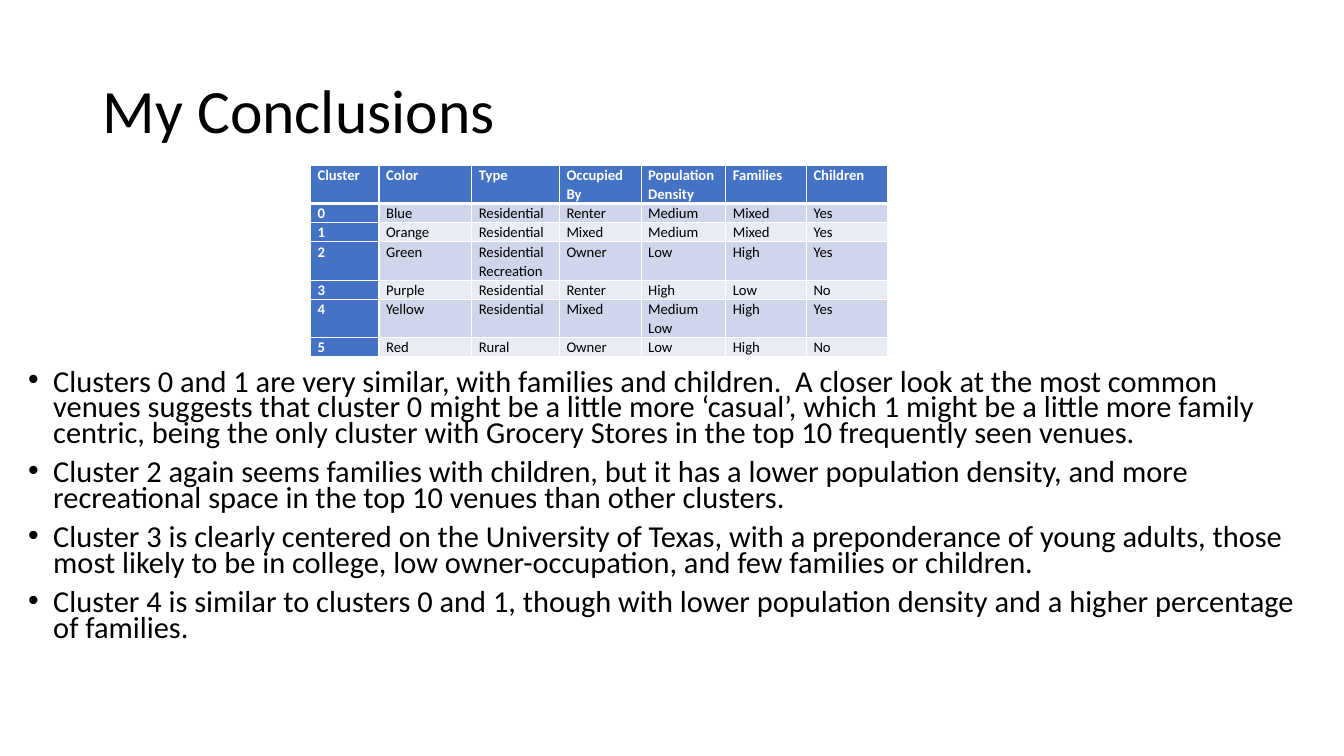
from lxml.etree import SubElement
from pptx import Presentation
from pptx.dml.color import RGBColor
from pptx.enum.text import MSO_ANCHOR, MSO_AUTO_SIZE, PP_ALIGN
from pptx.oxml.ns import qn
from pptx.util import Inches, Pt

BLACK, WHITE, BLUE = "000000", "FFFFFF", "4472C4"
BANDS = ["CFD5EA", "E9EBF5"]


def color(hex_code):
    return RGBColor.from_string(hex_code)


def add_text(paragraph, text, size, hex_code, line_spacing, bold=False):
    paragraph.alignment = PP_ALIGN.LEFT
    paragraph.line_spacing = line_spacing
    for index, line in enumerate(text.split("\n")):
        if index:
            paragraph.add_line_break()
        run = paragraph.add_run()
        run.text = line
        run.font.name = "Calibri"
        run.font.size = Pt(size)
        run.font.bold = bold
        run.font.color.rgb = color(hex_code)


presentation = Presentation()
presentation.slide_width = Inches(13.33)
presentation.slide_height = Inches(7.5)
slide = presentation.slides.add_slide(presentation.slide_layouts[5])

# Title
title = slide.shapes.title
title.left, title.top = Inches(0.92), Inches(0.4)
title.width, title.height = Inches(11.5), Inches(1.45)
title.text_frame.vertical_anchor = MSO_ANCHOR.MIDDLE
title.text_frame.auto_size = MSO_AUTO_SIZE.NONE
add_text(title.text_frame.paragraphs[0], "My Conclusions", 44, BLACK, 0.9)

# Cluster table: each cell is a list of paragraphs split at "|"
cluster_rows = [
    ["Cluster", "Color", "Type", "Occupied By", "Population|Density", "Families", "Children"],
    ["0", "Blue", "Residential", "Renter", "Medium", "Mixed", "Yes"],
    ["1", "Orange", "Residential", "Mixed", "Medium", "Mixed", "Yes"],
    ["2", "Green", "Residential\nRecreation", "Owner", "Low", "High", "Yes"],
    ["3", "Purple", "Residential", "Renter", "High", "Low", "No"],
    ["4", "Yellow", "Residential", "Mixed", "Medium\nLow", "High", "Yes"],
    ["5", "Red", "Rural", "Owner", "Low", "High", "No"],
]
column_widths = [0.68, 0.92, 0.87, 0.81, 0.84, 0.8, 0.8]
row_lines = [2, 1, 1, 2, 1, 2, 1]
line_height = 0.19

table = slide.shapes.add_table(
    len(cluster_rows), len(column_widths), Inches(3.08), Inches(1.64),
    Inches(sum(column_widths)), Inches(line_height * sum(row_lines))).table
for column, width in zip(table.columns, column_widths):
    column.width = Inches(width)
for row, lines in zip(table.rows, row_lines):
    row.height = Inches(line_height * lines)

for row_index, values in enumerate(cluster_rows):
    for column_index, value in enumerate(values):
        cell = table.cell(row_index, column_index)
        cell.margin_left = cell.margin_right = Inches(0.07)
        cell.margin_top = cell.margin_bottom = 0
        is_header = row_index == 0 or column_index == 0

        # White borders, thicker under the header row
        for side in ("L", "R", "T", "B"):
            under_header = (row_index, side) in ((0, "B"), (1, "T"))
            border = SubElement(cell._tc.get_or_add_tcPr(), qn(f"a:ln{side}"),
                                w=str(Pt(3 if under_header else 1)))
            SubElement(SubElement(border, qn("a:solidFill")), qn("a:srgbClr"), val=WHITE)

        cell.fill.solid()
        cell.fill.fore_color.rgb = color(BLUE if is_header else BANDS[(row_index - 1) % 2])
        for index, text in enumerate(value.split("|")):
            frame = cell.text_frame
            paragraph = frame.add_paragraph() if index else frame.paragraphs[0]
            add_text(paragraph, text, 10.5, WHITE if is_header else BLACK, 1.07, is_header)

# Bulleted conclusions
conclusions = [
    "Clusters 0 and 1 are very similar, with families and children.  A closer look at the most "
    "common venues suggests that cluster 0 might be a little more ‘casual’, which 1 might be a "
    "little more family centric, being the only cluster with Grocery Stores in the top 10 "
    "frequently seen venues.",
    "Cluster 2 again seems families with children, but it has a lower population density, and "
    "more recreational space in the top 10 venues than other clusters.",
    "Cluster 3 is clearly centered on the University of Texas, with a preponderance of young "
    "adults, those most likely to be in college, low owner-occupation, and few families or "
    "children.",
    "Cluster 4 is similar to clusters 0 and 1, though with lower population density and a higher "
    "percentage of families.",
]
conclusion_box = slide.shapes.add_textbox(Inches(0.18), Inches(3.64), Inches(12.87), Inches(3.46))
frame = conclusion_box.text_frame
frame.word_wrap = True
for index, conclusion in enumerate(conclusions):
    paragraph = frame.add_paragraph() if index else frame.paragraphs[0]
    add_text(paragraph, conclusion, 21.7, BLACK, 0.7)
    paragraph.space_before = Pt(10)
    properties = paragraph._p.get_or_add_pPr()
    properties.set("marL", str(Inches(0.25)))
    properties.set("indent", str(Inches(-0.25)))
    SubElement(properties, qn("a:buFont"), typeface="Arial")
    SubElement(properties, qn("a:buChar"), char="•")

presentation.save("out.pptx")
